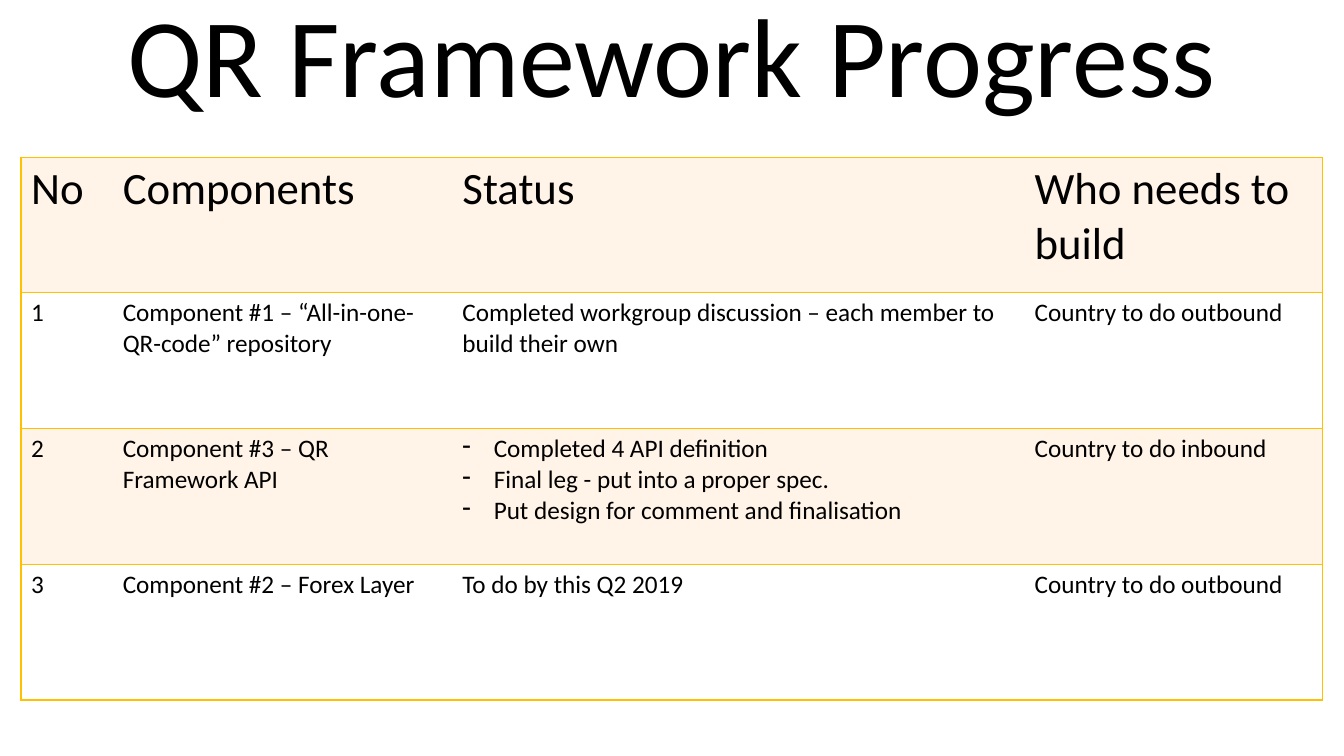
"""Build the framework progress slide with a title and a status table."""
import dataclasses
import typing

import lxml.etree
import pptx
import pptx.dml.color
import pptx.enum.shapes
import pptx.enum.text
import pptx.oxml.ns
import pptx.util

Cm = pptx.util.Cm
Pt = pptx.util.Pt
RGB = pptx.dml.color.RGBColor
qn = pptx.oxml.ns.qn


@dataclasses.dataclass(frozen=True)
class Theme:
    font: str = "Calibri"
    ink: str = "000000"
    paper: str = "FFFFFF"
    band: str = "FFF4E7"
    rule: str = "FFC000"
    title_size: int = 80
    header_size: int = 32
    body_size: int = 18


@dataclasses.dataclass(frozen=True)
class Component:
    number: str
    name: str
    status: tuple[str, ...]
    builder: str


THEME = Theme()
COLUMN_WIDTHS = (Cm(2.31), Cm(8.56), Cm(14.42), Cm(7.51))
ROW_HEIGHT = Cm(3.42)
BULLET_INDENT = Cm(0.79)
ROWS = (
    Component("No", "Components", ("Status",), "Who needs to build"),
    Component("1", "Component #1 – “All-in-one-QR-code” repository",
              ("Completed workgroup discussion – each member to build their own",),
              "Country to do outbound"),
    Component("2", "Component #3 – QR Framework API",
              ("Completed 4 API definition",
               "Final leg - put into a proper spec.",
               "Put design for comment and finalisation"),
              "Country to do inbound"),
    Component("3", "Component #2 – Forex Layer", ("To do by this Q2 2019",),
              "Country to do outbound"),
)


def add_span(para: typing.Any, text: str, size: int) -> None:
    span = para.add_run()
    span.text = text
    span.font.name = THEME.font
    span.font.size = Pt(size)
    span.font.color.rgb = RGB.from_string(THEME.ink)


def add_dash(para: typing.Any) -> None:
    properties = para._p.get_or_add_pPr()
    properties.set("marL", str(BULLET_INDENT))
    properties.set("indent", str(-BULLET_INDENT))
    lxml.etree.SubElement(properties, qn("a:buChar")).set("char", "-")


def set_borders(cell: typing.Any, is_first: bool, is_last: bool) -> None:
    properties = cell._tc.get_or_add_tcPr()
    sides = {"a:lnL": is_first, "a:lnR": is_last, "a:lnT": True, "a:lnB": True}
    for position, (side, visible) in enumerate(sides.items()):
        line = lxml.etree.Element(qn(side))
        properties.insert(position, line)
        if visible:
            line.set("w", str(Pt(1)))
            fill = lxml.etree.SubElement(line, qn("a:solidFill"))
            lxml.etree.SubElement(fill, qn("a:srgbClr")).set("val", THEME.rule)
        else:
            lxml.etree.SubElement(line, qn("a:noFill"))


def fill_cell(cell: typing.Any, lines: tuple[str, ...], size: int, color: str) -> None:
    cell.fill.solid()
    cell.fill.fore_color.rgb = RGB.from_string(color)
    frame = cell.text_frame
    for index, text in enumerate(lines):
        para = frame.add_paragraph() if index else frame.paragraphs[0]
        if len(lines) > 1:
            add_dash(para)
        add_span(para, text, size)


def add_title(page: typing.Any, width: int, text: str) -> None:
    box = page.shapes.add_shape(
        pptx.enum.shapes.MSO_SHAPE.ROUNDED_RECTANGLE, 0, 0, width, Cm(2.67))
    box.shadow.inherit = False
    box.fill.solid()
    box.fill.fore_color.rgb = RGB.from_string(THEME.paper)
    box.line.fill.background()
    frame = box.text_frame
    frame.word_wrap = True
    frame.vertical_anchor = pptx.enum.text.MSO_ANCHOR.MIDDLE
    para = frame.paragraphs[0]
    para.alignment = pptx.enum.text.PP_ALIGN.CENTER
    add_span(para, text, THEME.title_size)


def add_progress_table(page: typing.Any) -> None:
    table = page.shapes.add_table(
        len(ROWS), len(COLUMN_WIDTHS), Cm(0.53), Cm(3.96),
        sum(COLUMN_WIDTHS), ROW_HEIGHT * len(ROWS)).table
    table.first_row = False
    table.horz_banding = False
    for column, width in zip(table.columns, COLUMN_WIDTHS):
        column.width = width
    for index, (row, component) in enumerate(zip(table.rows, ROWS)):
        row.height = ROW_HEIGHT
        size = THEME.body_size if index else THEME.header_size
        color = THEME.paper if index % 2 else THEME.band
        texts = ((component.number,), (component.name,),
                 component.status, (component.builder,))
        for place, (cell, lines) in enumerate(zip(row.cells, texts)):
            fill_cell(cell, lines, size, color)
            set_borders(cell, place == 0, place == len(texts) - 1)


def main() -> None:
    deck = pptx.Presentation()
    deck.slide_width, deck.slide_height = Cm(33.87), Cm(19.05)
    page = deck.slides.add_slide(deck.slide_layouts[6])
    add_title(page, deck.slide_width, "QR Framework Progress")
    add_progress_table(page)
    deck.save("out.pptx")


if __name__ == "__main__":
    main()
